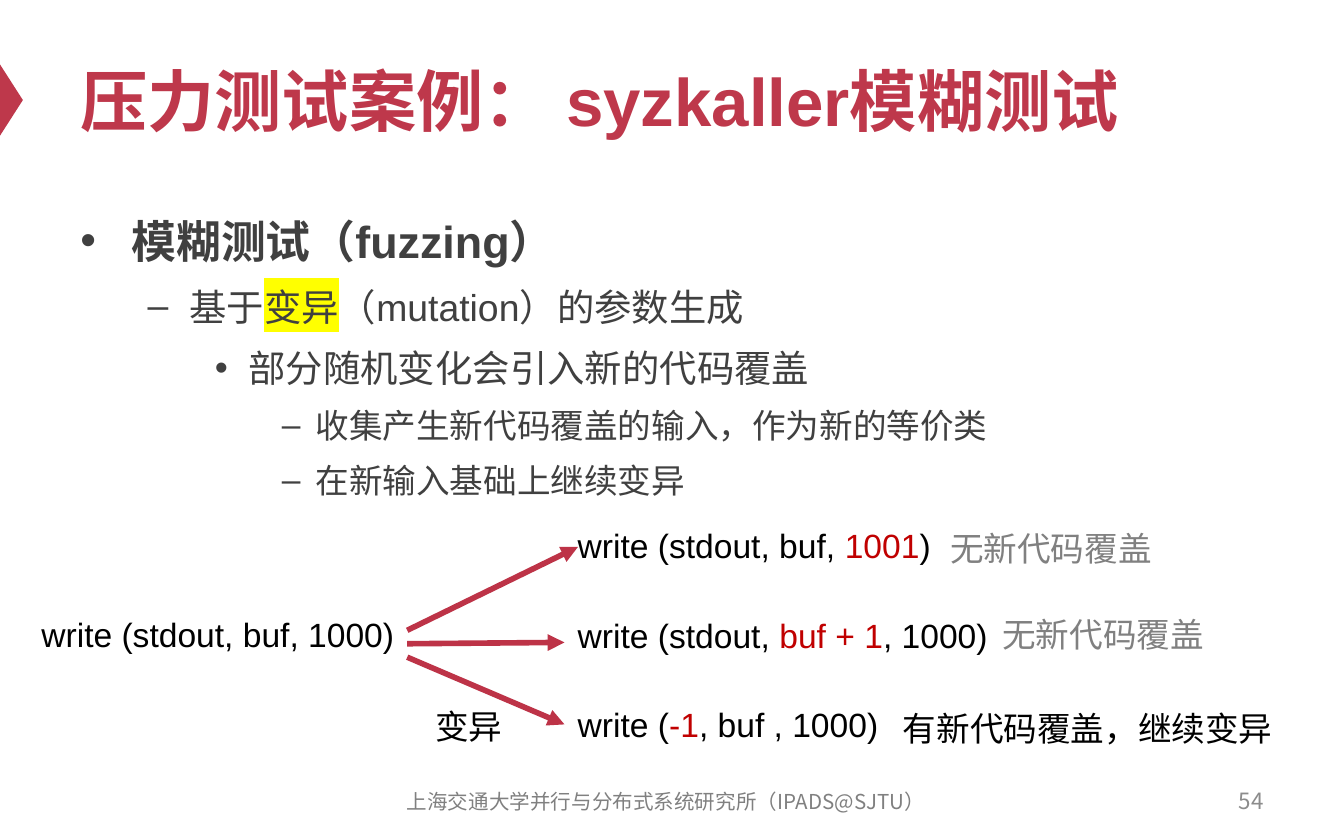
from lxml import etree
from pptx import Presentation
from pptx.dml.color import RGBColor
from pptx.enum.shapes import MSO_CONNECTOR, MSO_SHAPE
from pptx.enum.text import MSO_ANCHOR, PP_ALIGN
from pptx.oxml.ns import qn
from pptx.util import Inches, Pt

TRIANGLE = MSO_SHAPE.ISOSCELES_TRIANGLE
STRAIGHT = MSO_CONNECTOR.STRAIGHT
MIDDLE, TOP = MSO_ANCHOR.MIDDLE, MSO_ANCHOR.TOP
LEFT, CENTER, RIGHT = PP_ALIGN.LEFT, PP_ALIGN.CENTER, PP_ALIGN.RIGHT
CRIMSON, ARROW, CHANGED = "BE384B", "BD3347", "C00000"
DARK, GRAY, BLACK = "404040", "808080", "000000"
CJK = "Noto Sans CJK SC"


def rgb(value):
    return RGBColor.from_string(value)


def add_text(box, parts, size, color, font="Arial", bold=False, align=LEFT, anchor=TOP, wrap=False):
    frame = slide.shapes.add_textbox(*[Inches(v) for v in box]).text_frame
    frame.word_wrap = wrap
    frame.vertical_anchor = anchor
    line = frame.paragraphs[0]
    line.alignment = align
    line.font.size = Pt(size)
    line.font.name = font
    line.font.bold = bold
    for text, part_color in parts:
        run = line.add_run()
        run.text = text
        run.font.color.rgb = rgb(part_color or color)


prs = Presentation()
prs.slide_width, prs.slide_height = Inches(10), Inches(6.25)
slide = prs.slides.add_slide(prs.slide_layouts[6])

marker = slide.shapes.add_shape(TRIANGLE, Inches(-0.18), Inches(0.66), Inches(0.53), Inches(0.17))
marker.rotation = 90
marker.shadow.inherit = False
marker.fill.solid()
marker.fill.fore_color.rgb = rgb(CRIMSON)
marker.line.fill.background()

add_text((0.5, 0.25, 9, 0.98), [("压力测试案例： syzkaller模糊测试", None)], 36, CRIMSON,
         bold=True, anchor=MIDDLE, wrap=True)

outline = [
    (0, ["模糊测试（fuzzing）"]),
    (1, ["基于", "变异", "（mutation）的参数生成"]),
    (2, ["部分随机变化会引入新的代码覆盖"]),
    (3, ["收集产生新代码覆盖的输入，作为新的等价类"]),
    (3, ["在新输入基础上继续变异"]),
]
level_styles = [(0.38, 0.38, "•", 24), (0.81, 0.31, "–", 20), (1.25, 0.25, "•", 20), (1.75, 0.25, "–", 18)]
body = slide.shapes.add_textbox(Inches(0.5), Inches(1.46), Inches(9), Inches(4.12)).text_frame
body.word_wrap = True
for index, (level, parts) in enumerate(outline):
    margin, hanging, bullet, size = level_styles[level]
    item = body.add_paragraph() if index else body.paragraphs[0]
    item.level = level
    item.line_spacing = 1.2
    if index:
        item.space_before = Pt(size * 0.2)
    props = item._p.get_or_add_pPr()
    props.set("marL", str(Inches(margin)))
    props.set("indent", str(-Inches(hanging)))
    etree.SubElement(props, qn("a:buFont"), typeface="Arial")
    etree.SubElement(props, qn("a:buChar"), char=bullet)
    item.font.size = Pt(size)
    item.font.name = "Arial"
    item.font.bold = level == 0
    for text in parts:
        run = item.add_run()
        run.text = text
        run.font.color.rgb = rgb(DARK)
        if text == "变异":
            highlight = etree.SubElement(run.font._element, qn("a:highlight"))
            etree.SubElement(highlight, qn("a:srgbClr"), val="FFFF00")

calls = [
    (0.21, 4.52, 2.83, [("write (stdout, buf, 1000)", None)], BLACK),
    (4.2, 3.86, 2.92, [("write (stdout, buf, ", None), ("1001", CHANGED), (")", None)], BLACK),
    (4.2, 4.53, 3.35, [("write (stdout, ", None), ("buf + 1", CHANGED), (", 1000)", None)], BLACK),
    (4.2, 5.19, 2.53, [("write (", None), ("-1", CHANGED), (", buf , 1000)", None)], BLACK),
    (3.14, 5.2, 0.71, [("变异", None)], BLACK),
    (6.97, 3.88, 1.72, [("无新代码覆盖", None)], GRAY),
    (7.36, 4.52, 1.72, [("无新代码覆盖", None)], GRAY),
    (6.62, 5.22, 2.98, [("有新代码覆盖，继续变异", None)], BLACK),
]
for left, top, width, parts, color in calls:
    add_text((left, top, width, 0.4), parts, 18, color)

for start_y, end_x, end_y in [(4.69, 4.3, 4.07), (4.79, 4.2, 4.78), (4.89, 4.2, 5.39)]:
    mutation = slide.shapes.add_connector(STRAIGHT, Inches(3.03), Inches(start_y), Inches(end_x), Inches(end_y))
    mutation.line.color.rgb = rgb(ARROW)
    mutation.line.width = Pt(3)
    etree.SubElement(mutation.line._get_or_add_ln(), qn("a:tailEnd"), type="triangle")
    etree.SubElement(mutation._element.spPr, qn("a:effectLst"))

add_text((2.79, 5.8, 4.33, 0.33), [("上海交通大学并行与分布式系统研究所（IPADS@SJTU）", None)], 11, GRAY,
         font=CJK, align=CENTER, anchor=MIDDLE, wrap=True)
add_text((7.17, 5.79, 2.33, 0.33), [("54", None)], 12, "8C8C8C",
         font=CJK, align=RIGHT, anchor=MIDDLE, wrap=True)

prs.save("out.pptx")
